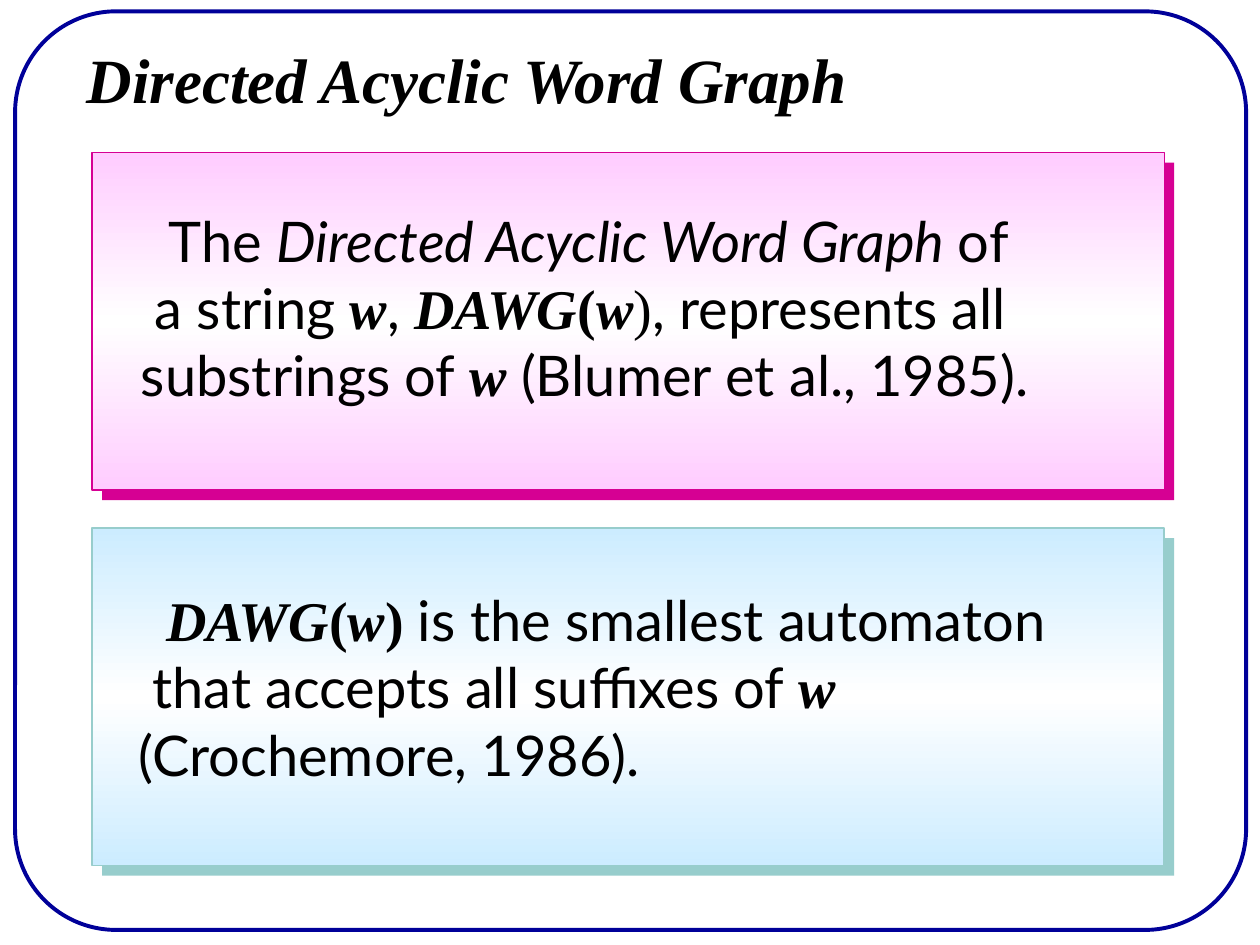
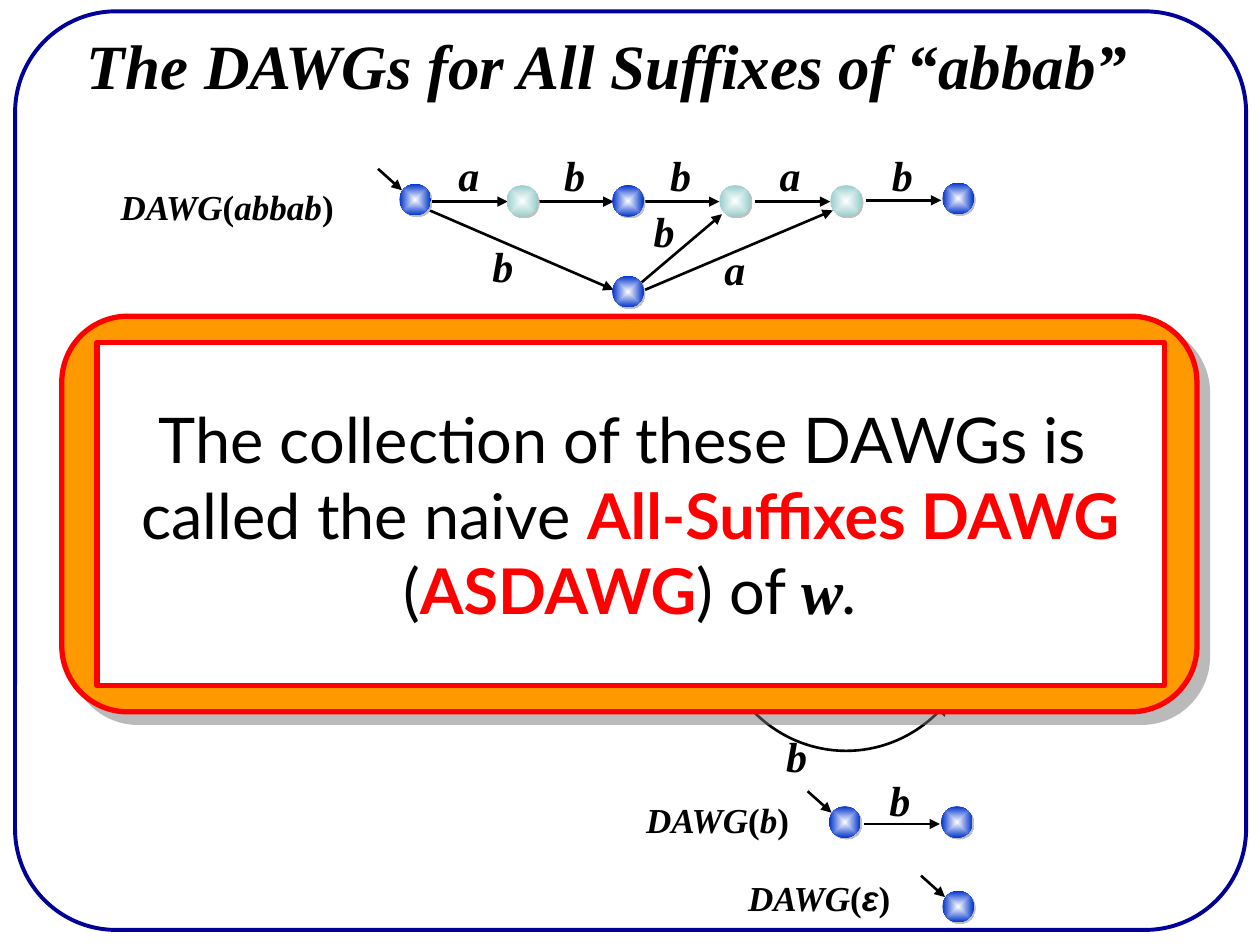
import dataclasses
import typing

import lxml.etree
import pptx
import pptx.dml.color
import pptx.enum.dml
import pptx.enum.shapes
import pptx.enum.text
import pptx.oxml
import pptx.oxml.ns
import pptx.util

PX = 9144  # EMU in one px, at 100 px to the inch
SERIF, SANS, GREEK = "Times New Roman", "Lato", "Arial"
COLORS = {
    "text": "000000", "white": "FFFFFF", "frame": "000099",
    "pink": "FFCCFF", "magenta": "D60093", "sky": "CCECFF", "teal": "97CDCC",
    "blue": "0033CC", "orange": "FF9900", "red": "FF0000",
    "node_shadow": "C0C0C0", "callout_shadow": "777777",
}
SHAPES = pptx.enum.shapes.MSO_SHAPE
ALIGN = pptx.enum.text.PP_ALIGN
ANCHOR = pptx.enum.text.MSO_ANCHOR
NAMESPACE = 'xmlns:a="http://schemas.openxmlformats.org/drawingml/2006/main"'


class Box(typing.NamedTuple):
    left: int
    top: int
    width: int
    height: int

    def emu(self) -> list[int]:
        return [length * PX for length in self]


@dataclasses.dataclass(frozen=True)
class Run:
    text: str
    font: str = SANS
    bold: bool = False
    italic: bool = False
    color: str = "text"


def math(text: str, italic: bool = True, font: str = SERIF) -> Run:
    return Run(text, font, bold=True, italic=italic)


def strong(text: str) -> Run:
    return Run(text, bold=True, color="red")


Lines = list[list[Run]]


class Panel(typing.NamedTuple):
    top: int
    tint: str
    edge: str
    edge_width: float
    text_box: Box
    lines: Lines


class Node(typing.NamedTuple):
    left: int
    top: int
    color: str = "blue"


class Arrow(typing.NamedTuple):
    x1: int
    y1: int
    x2: int
    y2: int


class Label(typing.NamedTuple):
    left: int
    top: int
    letter: str


class GraphName(typing.NamedTuple):
    box: Box
    word: str
    font: str = SERIF


# Text
def rgb(color: str) -> pptx.dml.color.RGBColor:
    return pptx.dml.color.RGBColor.from_string(COLORS[color])


def add_run(paragraph, text: str, *, size: int, font: str, bold: bool,
            italic: bool, color: str) -> None:
    run = paragraph.add_run()
    run.text = text
    run.font.size = pptx.util.Pt(size)
    run.font.name = font
    run.font.bold = bold
    run.font.italic = italic
    run.font.color.rgb = rgb(color)


def write_lines(shape, lines: Lines, *, size: int, align=ALIGN.LEFT,
                anchor=ANCHOR.TOP, wrap: bool = True, step: int = 0) -> None:
    """Write one paragraph a line; step indents each line more than the next."""
    frame = shape.text_frame
    frame.word_wrap = wrap
    frame.auto_size = pptx.enum.text.MSO_AUTO_SIZE.NONE
    frame.vertical_anchor = anchor
    for index, line in enumerate(lines):
        paragraph = frame.add_paragraph() if index else frame.paragraphs[0]
        paragraph.alignment = align
        indent = step * (len(lines) - 1 - index)
        if indent:
            paragraph._p.get_or_add_pPr().set("marL", str(indent * PX))
        for run in line:
            add_run(paragraph, size=size, **dataclasses.asdict(run))


def add_text(slide, box: Box, lines: Lines, **options) -> None:
    write_lines(slide.shapes.add_textbox(*box.emu()), lines, **options)


# Shapes
def add_shape(slide, kind, box: Box, *, fill: str | None = None,
              line: str | None = None, line_width: float = 1):
    shape = slide.shapes.add_shape(kind, *box.emu())
    shape.shadow.inherit = False
    if fill:
        shape.fill.solid()
        shape.fill.fore_color.rgb = rgb(fill)
    else:
        shape.fill.background()
    if line:
        shape.line.color.rgb = rgb(line)
        shape.line.width = pptx.util.Pt(line_width)
    else:
        shape.line.fill.background()
    return shape


def set_gradient(shape, colors: list[str], direction: str) -> None:
    last = len(colors) - 1
    stops = "".join(
        f'<a:gs pos="{100000 * index // last}"><a:srgbClr val="{COLORS[color]}"/></a:gs>'
        for index, color in enumerate(colors))
    gradient = pptx.oxml.parse_xml(
        f'<a:gradFill {NAMESPACE} rotWithShape="1"><a:gsLst>{stops}</a:gsLst>'
        f'{direction}</a:gradFill>')
    properties = shape.element.spPr
    properties.replace(properties.find(pptx.oxml.ns.qn("a:noFill")), gradient)


def set_shadow(shape, color: str, distance: float, opacity: int = 100) -> None:
    effects = shape.element.spPr.find(pptx.oxml.ns.qn("a:effectLst"))
    effects.append(pptx.oxml.parse_xml(
        f'<a:outerShdw {NAMESPACE} dist="{pptx.util.Pt(distance)}" dir="2700000" '
        f'algn="ctr" rotWithShape="0"><a:srgbClr val="{COLORS[color]}">'
        f'<a:alpha val="{opacity * 1000}"/></a:srgbClr></a:outerShdw>'))


def add_arrow(slide, arrow: Arrow) -> None:
    connector = slide.shapes.add_connector(
        pptx.enum.shapes.MSO_CONNECTOR.STRAIGHT, *(value * PX for value in arrow))
    connector.line.color.rgb = rgb("text")
    connector.line.width = pptx.util.Pt(1.5)
    qn = pptx.oxml.ns.qn
    lxml.etree.SubElement(connector.line._get_or_add_ln(), qn("a:tailEnd"), type="triangle")
    lxml.etree.SubElement(connector.element.spPr, qn("a:effectLst"))


def add_node(slide, node: Node) -> None:
    circle = add_shape(slide, SHAPES.OVAL, Box(node.left, node.top, 25, 25))
    set_gradient(circle, ["white", node.color],
                 '<a:path path="rect"><a:fillToRect l="50000" t="50000" '
                 'r="50000" b="50000"/></a:path>')
    set_shadow(circle, "node_shadow", 1.4)


def add_panel(slide, panel: Panel) -> None:
    box = Box(73, panel.top, 851, 268)
    shadow = box._replace(left=box.left + 8, top=box.top + 8)
    add_shape(slide, SHAPES.RECTANGLE, shadow, fill=panel.edge)
    front = add_shape(slide, SHAPES.RECTANGLE, box, line=panel.edge,
                      line_width=panel.edge_width)
    set_gradient(front, [panel.tint, "white", panel.tint], '<a:lin ang="5400000" scaled="0"/>')
    add_text(slide, panel.text_box, panel.lines, size=32, step=11)


# Shared slide parts
def add_titled_slide(presentation, title: str, box: Box):
    slide = presentation.slides.add_slide(presentation.slide_layouts[5])
    shape = slide.shapes.title
    shape.left, shape.top, shape.width, shape.height = box.emu()
    write_lines(shape, [[math(title)]], size=36)
    return slide


def move_frame_to_layout(slide) -> None:
    frame = add_shape(slide, SHAPES.ROUNDED_RECTANGLE, Box(12, 9, 977, 729),
                      line="frame", line_width=2.25)
    frame.adjustments[0] = 0.11
    slide.slide_layout.shapes.element.insert(2, frame.element)


# Slide 1: definition
PANELS = [
    Panel(121, "pink", "magenta", 0.75, Box(102, 159, 780, 170), [
        [Run("The "), Run("Directed Acyclic Word Graph ", italic=True), Run("of")],
        [Run("a string "), math("w"), Run(", "), math("DAWG"), math("(", False),
         math("w"), Run(")", SERIF), Run(", represents all")],
        [Run("substrings of "), math("w"), Run(" (Blumer et al., 1985).")],
    ]),
    Panel(419, "sky", "teal", 1, Box(100, 460, 795, 170), [
        [math("DAWG"), math("(", False), math("w"), math(") ", False),
         Run("is the smallest automaton")],
        [Run("that accepts all suffixes of "), math("w")],
        [Run("(Crochemore, 1986).")],
    ]),
]

# Slide 2: the graphs of the suffixes
NODES = [
    Node(317, 146), Node(402, 147, "teal"), Node(486, 147), Node(571, 147, "teal"),
    Node(659, 147, "teal"), Node(748, 145), Node(486, 219),
    Node(658, 640), Node(747, 640), Node(748, 707),
]
START_TIPS = [(319, 151), (660, 645), (750, 712)]
ARROWS = [Arrow(x - 19, y - 17, x, y) for x, y in START_TIPS] + [
    Arrow(x, y, x + 60, y)
    for x, y in [(343, 160), (427, 160), (511, 160), (599, 160), (687, 159), (686, 654)]
] + [
    Arrow(341, 167, 487, 230), Arrow(507, 226, 573, 170), Arrow(512, 230, 661, 167),
    Arrow(747, 566, 752, 560),
]
LABELS = [
    Label(left, 114, letter) for left, letter in zip((354, 438, 522, 609, 698), "abbab")
] + [
    Label(381, 186, "b"), Label(509, 158, "b"), Label(565, 188, "a"),
    Label(614, 575, "b"), Label(696, 610, "b"),
]
GRAPH_NAMES = [
    GraphName(Box(86, 142, 191, 44), "abbab"),
    GraphName(Box(503, 629, 136, 44), "b"),
    GraphName(Box(584, 691, 134, 44), "ε", GREEK),
]
CALLOUT = [
    [Run("The collection of these DAWGs is ")],
    [Run("called the naive "), strong("All-Suffixes DAWG")],
    [Run("("), strong("ASDAWG"), Run(") of "), math("w"), Run(".", italic=True)],
]


def draw_graphs(slide) -> None:
    for arrow in ARROWS:
        add_arrow(slide, arrow)
    for node in NODES:
        add_node(slide, node)
    arc = add_shape(slide, SHAPES.ARC, Box(567, 380, 209, 216), line="text", line_width=1.5)
    arc.adjustments[0], arc.adjustments[1] = 27, 81  # 45 to 135 degrees
    for label in LABELS:
        add_text(slide, Box(label.left, label.top, 36, 50), [[math(label.letter)]],
                 size=24, wrap=False)
    for name in GRAPH_NAMES:
        runs = [math("DAWG"), math("(", False), math(name.word, font=name.font),
                math(")", False)]
        add_text(slide, name.box, [runs], size=20, wrap=False)


def draw_callout(slide) -> None:
    back = add_shape(slide, SHAPES.ROUNDED_RECTANGLE, Box(49, 251, 901, 314),
                     fill="orange", line="red", line_width=3)
    set_shadow(back, "callout_shadow", 8.5, opacity=50)
    front = add_shape(slide, SHAPES.RECTANGLE, Box(77, 272, 847, 272),
                      fill="white", line="red", line_width=3)
    write_lines(front, CALLOUT, size=36, align=ALIGN.CENTER, anchor=ANCHOR.MIDDLE)


def main() -> None:
    presentation = pptx.Presentation()
    presentation.slide_width, presentation.slide_height = 1000 * PX, 750 * PX

    definition = add_titled_slide(presentation, "Directed Acyclic Word Graph",
                                  Box(59, 27, 629, 70))
    move_frame_to_layout(definition)
    for panel in PANELS:
        add_panel(definition, panel)

    suffixes = add_titled_slide(presentation, "The DAWGs for All Suffixes of “abbab”",
                                Box(59, 16, 853, 70))
    draw_graphs(suffixes)
    draw_callout(suffixes)
    presentation.save("out.pptx")


if __name__ == "__main__":
    main()
